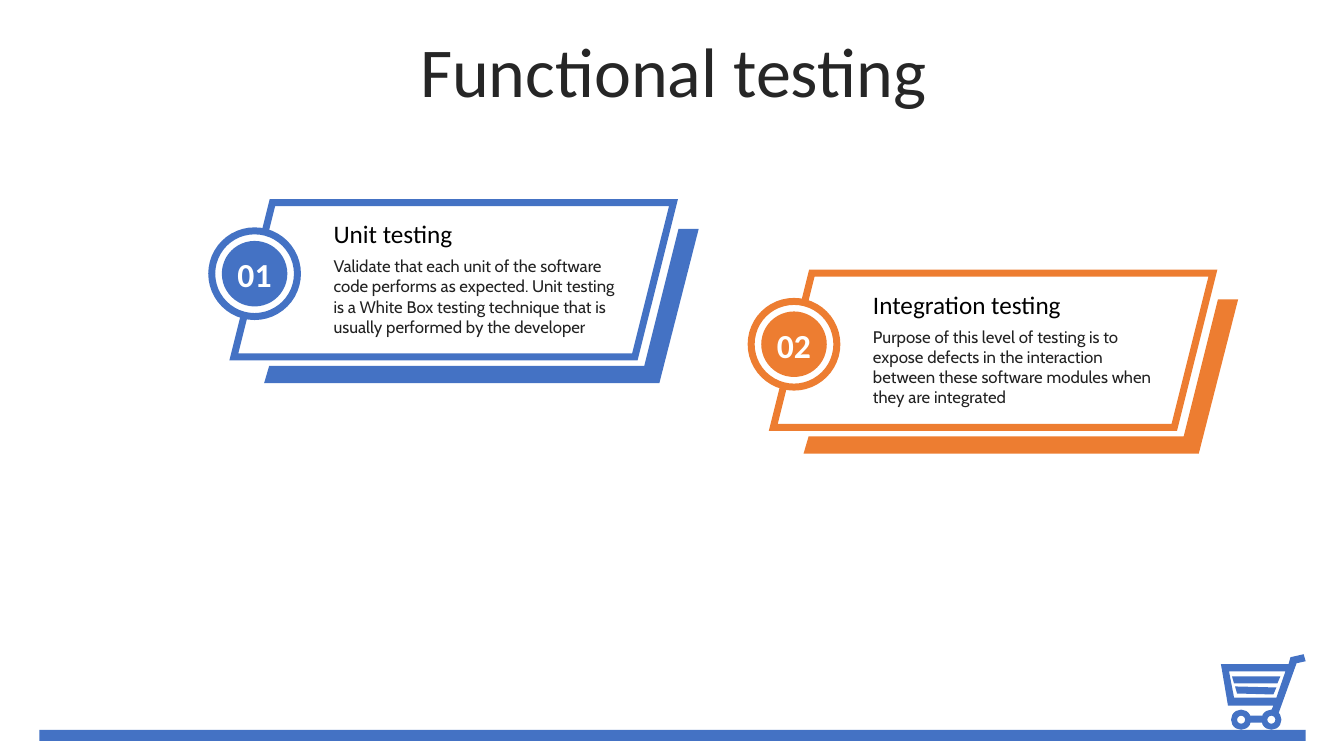
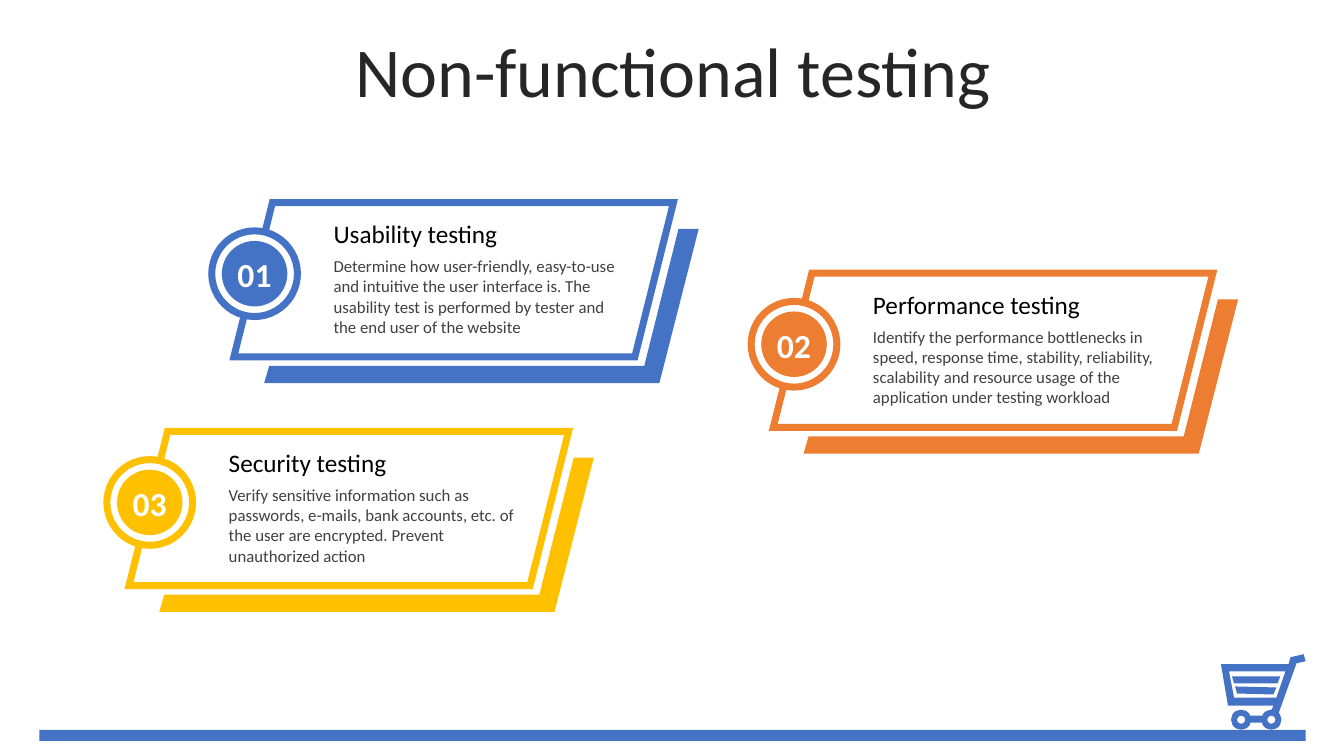
from lxml import etree
from pptx import Presentation
from pptx import util as u
from pptx.dml import color
from pptx.enum import shapes, text
from pptx.oxml import ns

BLUE, ORANGE, YELLOW = "4472C4", "ED7D31", "FFC000"
WHITE, BLACK = "FFFFFF", "000000"
TITLE_COLOR = "262626"
FONT = "Calibri"
KINDS = shapes.MSO_SHAPE

# Outlines relative to the top left corner of their box
CARD_SHADOW = [(4.41, 0.26), (4.61, 0.26), (4.22, 1.79),
               (0.3, 1.79), (0.35, 1.62), (4.07, 1.62)]
CART = [
    # frame and handle
    [(0.82, 0), (0.69, 0.03), (0.67, 0.1), (0, 0.1), (0.07, 0.51), (0.52, 0.51),
     (0.49, 0.58), (0.57, 0.59), (0.75, 0.09), (0.84, 0.07)],
    # basket opening
    [(0.64, 0.17), (0.55, 0.43), (0.13, 0.43), (0.08, 0.17)],
    # two slats
    [(0.11, 0.22), (0.13, 0.29), (0.56, 0.29), (0.59, 0.22)],
    [(0.14, 0.32), (0.16, 0.39), (0.52, 0.4), (0.55, 0.33)],
    # axle
    [(0.28, 0.61), (0.41, 0.61), (0.41, 0.68), (0.28, 0.68)],
]


def rgb(value):
    return color.RGBColor.from_string(value)


def paint(shape, fill, line=None, width=5):
    shape.shadow.inherit = False
    shape.fill.solid()
    shape.fill.fore_color.rgb = rgb(fill)
    if line is None:
        shape.line.fill.background()
        return
    shape.line.color.rgb = rgb(line)
    shape.line.width = u.Pt(width)
    # sharp corners
    miter = etree.SubElement(shape.line._get_or_add_ln(), ns.qn("a:miter"))
    miter.set("lim", "800000")


def add_shape(parent, kind, left, top, width, height, fill, line=None):
    box = [u.Inches(value) for value in (left, top, width, height)]
    shape = parent.add_shape(kind, *box)
    paint(shape, fill, line)
    return shape


def add_outline(parent, left, top, contours, fill):
    contours = [[(u.Inches(left + x), u.Inches(top + y)) for x, y in contour]
                for contour in contours]
    builder = parent.build_freeform(*contours[0][0])
    for index, contour in enumerate(contours):
        if index:
            builder.move_to(*contour[0])
        builder.add_line_segments(contour[1:], close=True)
    shape = builder.convert_to_shape()
    paint(shape, fill)
    return shape


def add_text(parent, left, top, width, height, words, size, ink, font=FONT,
             bold=False, centered=False, middle=False, grow=True):
    box = [u.Inches(value) for value in (left, top, width, height)]
    frame = parent.add_textbox(*box).text_frame
    frame.word_wrap = True
    if grow:
        frame.auto_size = text.MSO_AUTO_SIZE.SHAPE_TO_FIT_TEXT
    if middle:
        frame.vertical_anchor = text.MSO_ANCHOR.MIDDLE
    paragraph = frame.paragraphs[0]
    paragraph.alignment = text.PP_ALIGN.CENTER if centered else text.PP_ALIGN.LEFT
    run = paragraph.add_run()
    run.text = words
    run.font.name = font
    run.font.size = u.Pt(size)
    run.font.bold = bold
    run.font.color.rgb = rgb(ink)
    return frame


def add_cart(parent, left, top):
    add_outline(parent, left, top, CART, BLUE)
    for wheel_left in (0.1, 0.4):
        wheel = add_shape(parent, KINDS.DONUT, left + wheel_left, top + 0.55, 0.2, 0.2, BLUE)
        wheel.adjustments[0] = 0.3


def add_badge(parent, left, top, number, accent):
    add_shape(parent, KINDS.OVAL, left, top, 0.85, 0.85, WHITE, accent)
    add_shape(parent, KINDS.OVAL, left + 0.1, top + 0.1, 0.65, 0.65, accent)
    frame = add_text(parent, left + 0.11, top + 0.18, 0.63, 0.5, number, 24, WHITE,
                     bold=True, centered=True)
    frame.margin_left = frame.margin_right = u.Inches(0.12)


def add_card(slide, left, top, number, accent, heading, body, body_font, body_color):
    parent = slide.shapes.add_group_shape().shapes
    add_shape(parent, KINDS.PARALLELOGRAM, left, top, 4.36, 1.53, WHITE, accent)
    add_outline(parent, left, top, [CARD_SHADOW], accent)
    add_text(parent, left + 0.89, top + 0.48, 3.08, 0.91, body, 12, body_color, body_font)
    add_text(parent, left + 0.89, top + 0.11, 3.08, 0.4, heading, 18, BLACK, middle=True)
    add_badge(parent, left - 0.22, top + 0.28, number, accent)


def add_testing_slide(presentation, title, cards, body_font, body_color):
    slide = presentation.slides.add_slide(presentation.slide_layouts[6])
    # Footer band with cart
    add_cart(slide.shapes, 12.11, 6.49)
    add_shape(slide.shapes, KINDS.RECTANGLE, 0.39, 7.24, 12.56, 0.11, BLUE)
    # Title
    frame = add_text(slide.shapes, 0.35, 0.37, 12.66, 0.79, title, 50, TITLE_COLOR,
                     centered=True, middle=True, grow=False)
    frame.paragraphs[0].line_spacing = 0.8
    frame.paragraphs[0].space_before = u.Pt(10)
    # Cards
    for card in cards:
        add_card(slide, *card, body_font, body_color)


def main():
    presentation = Presentation()
    presentation.slide_width = u.Inches(13.33)
    presentation.slide_height = u.Inches(7.5)

    first = (2.32, 2.01, "01", BLUE)
    second = (7.67, 2.71, "02", ORANGE)
    third = (1.28, 4.28, "03", YELLOW)

    add_testing_slide(presentation, "Functional testing", [
        (*first, "Unit testing",
         "Validate that each unit of the software code performs as expected. Unit testing "
         "is a White Box testing technique that is usually performed by the developer"),
        (*second, "Integration testing",
         "Purpose of this level of testing is to expose defects in the interaction "
         "between these software modules when they are integrated"),
    ], "Cabin", "222222")

    add_testing_slide(presentation, "Non-functional testing", [
        (*first, "Usability testing",
         "Determine how user-friendly, easy-to-use and intuitive the user interface is. "
         "The usability test is performed by tester and the end user of the website"),
        (*third, "Security testing",
         "Verify sensitive information such as passwords, e-mails, bank accounts, etc. "
         "of the user are encrypted. Prevent unauthorized action"),
        (*second, "Performance testing",
         "Identify the performance bottlenecks in speed, response time, stability, "
         "reliability, scalability and resource usage of the application under testing "
         "workload"),
    ], FONT, "404040")

    presentation.save("out.pptx")


if __name__ == "__main__":
    main()
